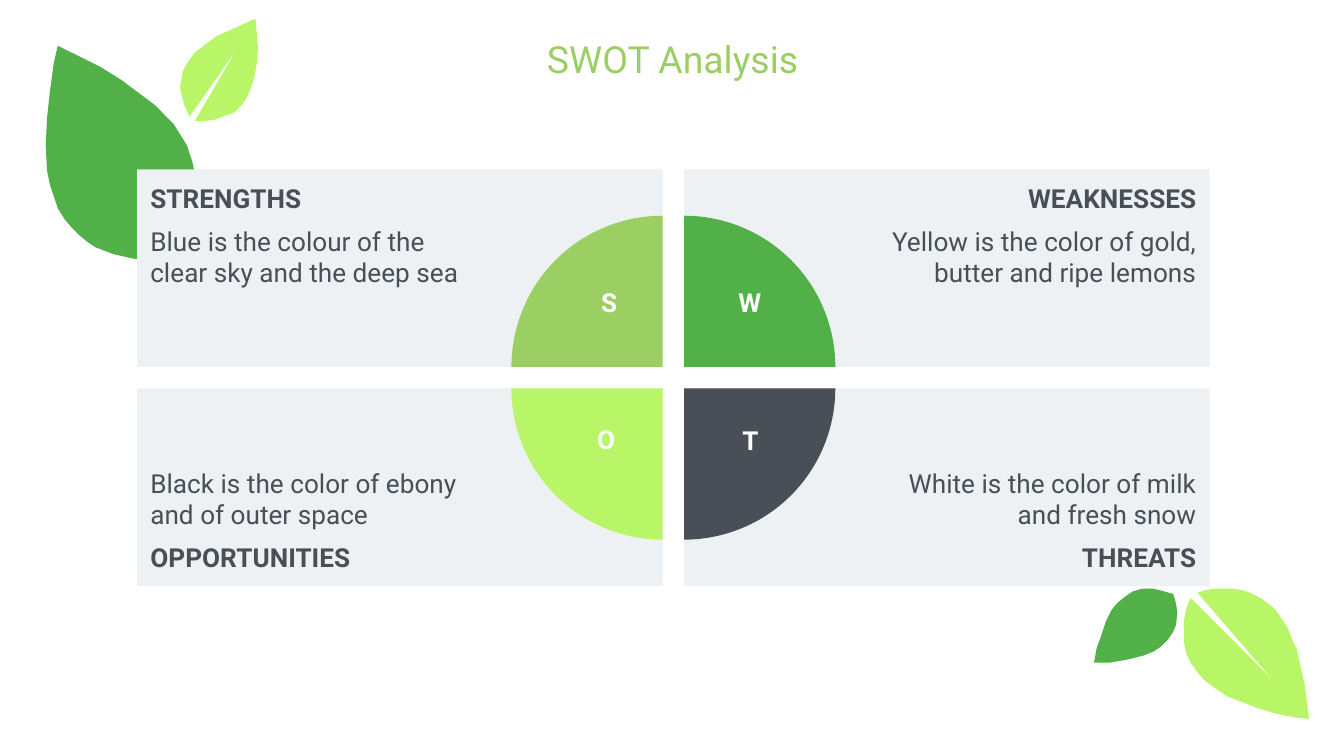
from dataclasses import dataclass

import pptx
import pptx.dml.color
import pptx.enum.shapes
import pptx.enum.text
import pptx.util

RGBColor = pptx.dml.color.RGBColor
MSO_SHAPE = pptx.enum.shapes.MSO_SHAPE
PP_ALIGN = pptx.enum.text.PP_ALIGN
MSO_ANCHOR = pptx.enum.text.MSO_ANCHOR
Inches = pptx.util.Inches
Pt = pptx.util.Pt

OLIVE = RGBColor(0x9B, 0xCF, 0x63)
GREEN = RGBColor(0x51, 0xB1, 0x48)
LIME = RGBColor(0xB8, 0xF5, 0x67)
SLATE = RGBColor(0x48, 0x4F, 0x56)
PALE = RGBColor(0xEE, 0xF1, 0xF3)
WHITE = RGBColor(0xFF, 0xFF, 0xFF)

SLIDE_W, SLIDE_H = 10, 5.625
CARD_W, CARD_H = 3.91, 1.47
GAP = 0.16
LEFT, TOP = 1.02, 1.26
PIE = 2.25
PAD, PIE_PAD = 0.1, 1.5
LETTER_H = 0.42


@dataclass
class Quadrant:
    col: int
    row: int
    heading: str
    body: str
    color: RGBColor
    turn: int
    letter_dx: float
    letter_dy: float
    letter_w: float


@dataclass
class Leaf:
    color: RGBColor
    points: list[tuple[int, int]]


QUADRANTS = [
    Quadrant(0, 0, "STRENGTHS", "Blue is the colour of the clear sky and the deep sea",
             OLIVE, 0, -0.42, -0.44, 0.27),
    Quadrant(1, 0, "WEAKNESSES", "Yellow is the color of gold, butter and ripe lemons",
             GREEN, 90, 0.49, -0.44, 0.5),
    Quadrant(0, 1, "OPPORTUNITIES", "Black is the color of ebony and of outer space",
             LIME, 270, -0.45, 0.42, 0.27),
    Quadrant(1, 1, "THREATS", "White is the color of milk and fresh snow",
             SLATE, 180, 0.48, 0.43, 0.29),
]

# Leaf points are in thousandths of the slide width.
LEAVES = [
    Leaf(LIME, [
        (954, 461), (950, 455), (946, 451), (942, 448), (938, 445), (934, 443),
        (930, 441), (924, 439), (916, 438), (904, 438), (898, 439), (891, 441),
        (948, 507), (886, 445), (883, 452), (881, 462), (881, 478), (883, 487),
        (886, 493), (890, 499), (896, 506), (904, 512), (913, 518), (923, 522),
        (936, 527), (949, 531), (964, 534), (974, 535), (973, 526), (971, 510),
        (968, 497), (965, 483), (962, 477), (958, 467)]),
    Leaf(GREEN, [
        (873, 442), (866, 440), (858, 438), (850, 438), (843, 440), (837, 444),
        (831, 449), (827, 454), (823, 462), (819, 474), (816, 482), (814, 493),
        (826, 493), (838, 491), (850, 488), (858, 485), (864, 481), (869, 476),
        (873, 470), (875, 465), (876, 456), (875, 449)]),
    Leaf(LIME, [
        (134, 65), (135, 70), (137, 78), (141, 87), (176, 37), (145, 90),
        (153, 90), (160, 89), (168, 86), (174, 84), (179, 79), (183, 74),
        (187, 65), (189, 58), (191, 48), (192, 36), (191, 24), (190, 14),
        (181, 18), (170, 23), (161, 27), (153, 33), (145, 39), (140, 46),
        (136, 53), (135, 59)]),
    Leaf(GREEN, [
        (122, 194), (130, 183), (136, 173), (141, 161), (144, 148), (145, 140),
        (145, 129), (143, 120), (139, 108), (134, 100), (129, 92), (122, 85),
        (115, 78), (107, 72), (91, 60), (75, 50), (55, 40), (43, 34), (40, 47),
        (37, 69), (35, 88), (34, 108), (35, 127), (37, 137), (40, 146),
        (43, 155), (48, 163), (53, 169), (59, 175), (65, 180), (71, 184),
        (84, 189), (97, 192), (108, 194)]),
]


def write(tf, text: str, *, size: float = 14, color: RGBColor = SLATE,
          bold: bool = False, align=PP_ALIGN.LEFT, before: float = 0, after: float = 0):
    p = tf.add_paragraph() if tf.text else tf.paragraphs[0]
    p.alignment = align
    p.space_before, p.space_after = Pt(before), Pt(after)
    r = p.add_run()
    r.text = text
    r.font.name, r.font.size, r.font.bold = "Roboto", Pt(size), bold
    r.font.color.rgb = color


def paint(sp, color: RGBColor):
    sp.shadow.inherit = False
    sp.fill.solid()
    sp.fill.fore_color.rgb = color
    sp.line.fill.background()


def draw_leaf(slide, leaf: Leaf):
    start, *rest = leaf.points
    builder = slide.shapes.build_freeform(*start, scale=Inches(SLIDE_W) / 1000)
    builder.add_line_segments(rest, close=True)
    paint(builder.convert_to_shape(), leaf.color)


def draw_card(slide, q: Quadrant):
    x = LEFT + q.col * (CARD_W + GAP)
    y = TOP + q.row * (CARD_H + GAP)
    sp = slide.shapes.add_shape(MSO_SHAPE.RECTANGLE, Inches(x), Inches(y),
                                Inches(CARD_W), Inches(CARD_H))
    paint(sp, PALE)
    tf = sp.text_frame
    tf.word_wrap = True
    tf.vertical_anchor = MSO_ANCHOR.BOTTOM if q.row else MSO_ANCHOR.TOP
    tf.margin_top = tf.margin_bottom = Inches(PAD)
    tf.margin_left = Inches(PIE_PAD if q.col else PAD)
    tf.margin_right = Inches(PAD if q.col else PIE_PAD)
    align = PP_ALIGN.RIGHT if q.col else PP_ALIGN.LEFT
    lines = [(q.heading, True), (q.body, False)]
    first, last = reversed(lines) if q.row else lines
    write(tf, first[0], bold=first[1], align=align)
    write(tf, last[0], bold=last[1], align=align, before=6, after=6)


def inner_corner(q: Quadrant) -> tuple[float, float]:
    return LEFT + CARD_W + q.col * GAP, TOP + CARD_H + q.row * GAP


def draw_pie(slide, q: Quadrant):
    x, y = inner_corner(q)
    sp = slide.shapes.add_shape(MSO_SHAPE.PIE, Inches(x - PIE / 2), Inches(y - PIE / 2),
                                Inches(PIE), Inches(PIE))
    sp.adjustments[0], sp.adjustments[1] = 108, 162
    sp.rotation = q.turn
    paint(sp, q.color)


def draw_letter(slide, q: Quadrant):
    x, y = inner_corner(q)
    sp = slide.shapes.add_textbox(Inches(x + q.letter_dx - q.letter_w / 2),
                                  Inches(y + q.letter_dy - LETTER_H / 2),
                                  Inches(q.letter_w), Inches(LETTER_H))
    write(sp.text_frame, q.heading[0], color=WHITE, bold=True, align=PP_ALIGN.CENTER)


def draw_title(slide, text: str):
    sp = slide.shapes.title
    sp.left, sp.top, sp.width, sp.height = map(Inches, (0.94, 0.27, 8.13, 0.43))
    tf = sp.text_frame
    tf.auto_size = pptx.enum.text.MSO_AUTO_SIZE.NONE
    tf.vertical_anchor = MSO_ANCHOR.BOTTOM
    tf.margin_left = tf.margin_right = tf.margin_top = tf.margin_bottom = Inches(PAD)
    write(tf, text, size=20, color=OLIVE, align=PP_ALIGN.CENTER)


def main():
    prs = pptx.Presentation()
    prs.slide_width, prs.slide_height = Inches(SLIDE_W), Inches(SLIDE_H)
    slide = prs.slides.add_slide(prs.slide_layouts[5])
    draw_title(slide, "SWOT Analysis")
    for leaf in LEAVES:
        draw_leaf(slide, leaf)
    for draw in (draw_card, draw_pie, draw_letter):
        for q in QUADRANTS:
            draw(slide, q)
    prs.save("out.pptx")


if __name__ == "__main__":
    main()
